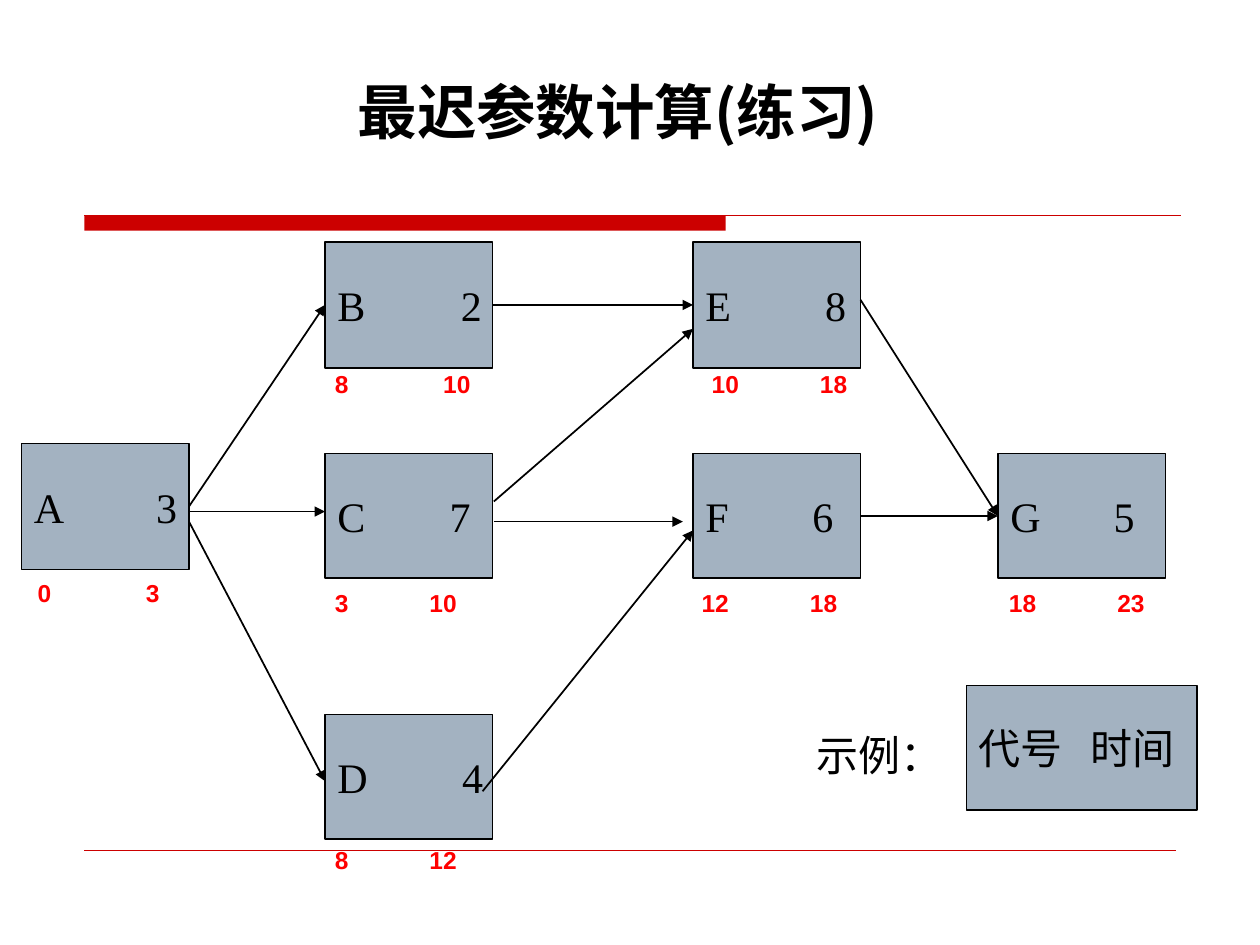
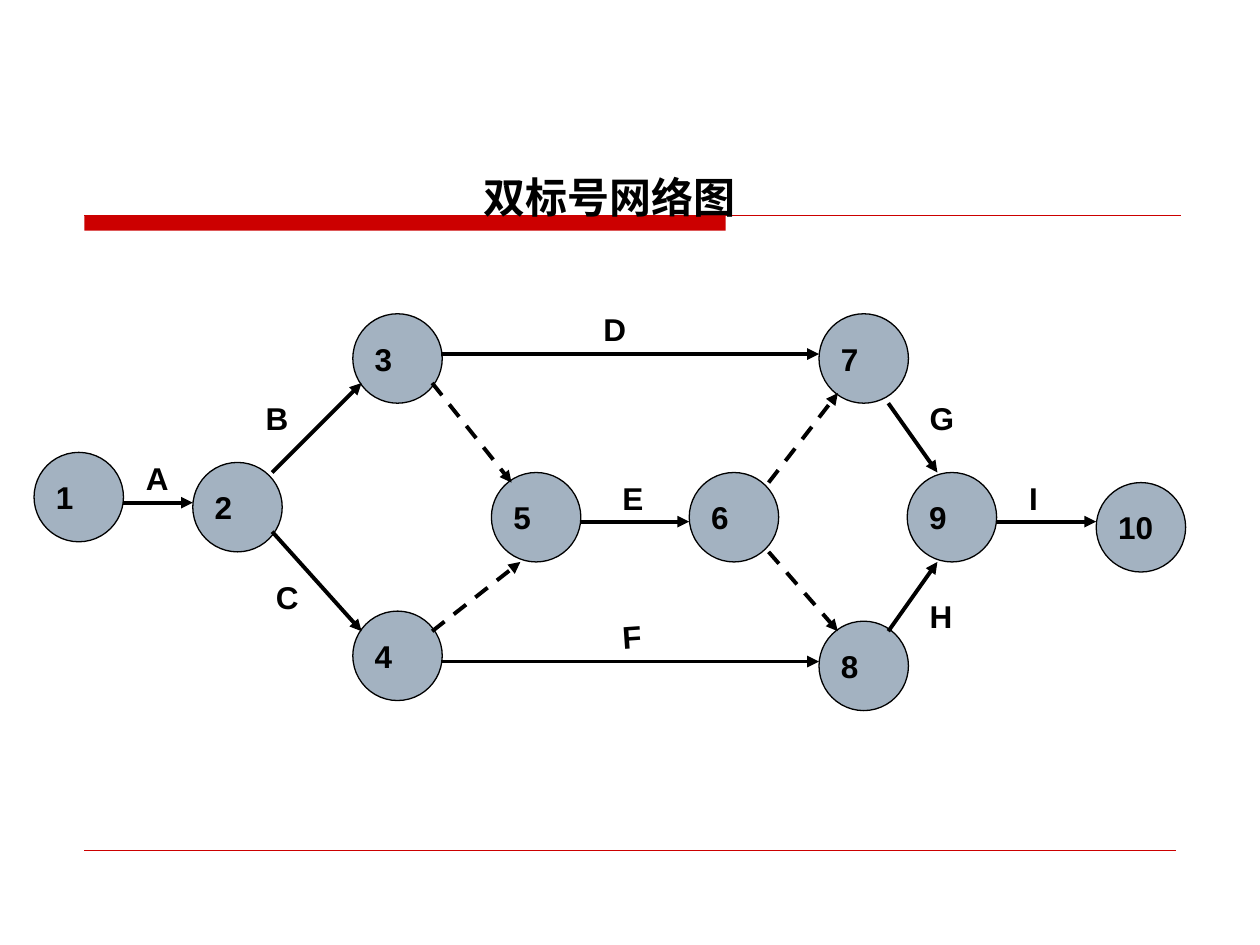
import pptx
import pptx.util
import pptx.dml.color
import pptx.enum.dml
import pptx.enum.shapes
import pptx.enum.text
import pptx.oxml.ns
from lxml import etree
from typing import Any, NamedTuple

Inches = pptx.util.Inches
Pt = pptx.util.Pt
Shape = pptx.enum.shapes.MSO_SHAPE
Anchor = pptx.enum.text.MSO_ANCHOR
qn = pptx.oxml.ns.qn

RED, BLACK, GREY, BRIGHT = "CC0000", "000000", "A3B2C1", "FF0000"
SERIF, SANS, HAN = "Times New Roman", "Arial", "Noto Sans CJK SC"
DISC = 0.71


class Style(NamedTuple):
    size: int
    font: str
    bold: bool = True
    tint: str = BLACK


TITLE = Style(34, HAN)
HEAD = Style(24, SANS)
TASK = Style(24, SERIF, False)
TIME = Style(14, SANS, True, BRIGHT)
MARK = Style(18, SANS)


class Task(NamedTuple):
    name: str
    span: str
    x: float
    y: float
    tab: float
    high: float = 0.99
    wide: float = 1.33


class Dates(NamedTuple):
    start: int
    end: int
    x: float
    y: float
    tab: float = 0.86


class Arrow(NamedTuple):
    x1: float
    y1: float
    x2: float
    y2: float
    dash: bool = False
    tail: str = ""
    head: str = ""


class Label(NamedTuple):
    text: str
    x: float
    y: float
    turn: float = 0


TASKS = [
    Task("A", "3", 0.17, 3.52, 0.97, 1),
    Task("E", "8", 5.5, 1.92, 0.95, 1),
    Task("C", "7", 2.58, 3.6, 0.89),
    Task("F", "6", 5.5, 3.6, 0.85),
    Task("D", "4", 2.58, 5.67, 0.99),
    Task("B", "2", 2.58, 1.92, 0.98, 1),
    Task("G", "5", 7.92, 3.6, 0.82),
    Task("代号", "时间", 7.67, 5.44, 0.89, wide=1.83),
]
DATES = [
    Dates(18, 23, 7.91, 4.62),
    Dates(12, 18, 5.47, 4.62),
    Dates(10, 18, 5.55, 2.88),
    Dates(8, 10, 2.56, 2.88),
    Dates(3, 10, 2.56, 4.62, 0.75),
    Dates(8, 12, 2.56, 6.66, 0.75),
    Dates(0, 3, 0.2, 4.54),
]
LINKS = [
    Arrow(1.5, 4.06, 2.58, 4.06),
    Arrow(3.92, 2.45, 5.5, 2.45, tail="B", head="E"),
    Arrow(6.83, 4.14, 7.92, 4.14, tail="F", head="G"),
    Arrow(3.92, 4.14, 5.42, 4.14),
    Arrow(1.5, 4.06, 2.58, 2.45, tail="A", head="B"),
    Arrow(1.5, 4.14, 2.58, 6.2),
    Arrow(6.83, 2.38, 7.92, 4.14, head="G"),
    Arrow(3.83, 6.28, 5.5, 4.21),
    Arrow(3.92, 3.98, 5.5, 2.61),
]
NODES = [
    Label("1", 0.27, 3.59),
    Label("4", 2.8, 4.85),
    Label("3", 2.8, 2.49),
    Label("5", 3.9, 3.75),
    Label("6", 5.47, 3.75),
    Label("8", 6.5, 4.93),
    Label("7", 6.5, 2.49),
    Label("9", 7.2, 3.75),
    Label("10", 8.7, 3.83),
    Label("2", 1.53, 3.67),
]
EDGES = [
    Arrow(0.98, 3.99, 1.53, 3.99),
    Arrow(2.16, 3.75, 2.87, 3.04),
    Arrow(2.16, 4.22, 2.87, 5.01),
    Arrow(3.5, 2.81, 6.5, 2.81),
    Arrow(3.5, 5.25, 6.5, 5.25),
    Arrow(3.43, 3.04, 4.06, 3.83, True),
    Arrow(3.43, 5.01, 4.13, 4.46, True),
    Arrow(4.61, 4.14, 5.47, 4.14),
    Arrow(7.05, 3.2, 7.44, 3.75),
    Arrow(7.05, 5.01, 7.44, 4.46),
    Arrow(7.91, 4.14, 8.7, 4.14),
    Arrow(6.1, 3.83, 6.65, 3.12, True),
    Arrow(6.1, 4.38, 6.65, 5.01, True),
]
LETTERS = [
    Label("A", 1.06, 3.59),
    Label("B", 2.01, 3.12),
    Label("C", 2.09, 4.54),
    Label("D", 4.69, 2.41),
    Label("F", 4.84, 4.85, -4),
    Label("E", 4.84, 3.75),
    Label("G", 7.28, 3.12),
    Label("H", 7.28, 4.69),
    Label("I", 8.07, 3.75),
]


def color(code: str) -> Any:
    return pptx.dml.color.RGBColor.from_string(code)


def write(shape: Any, text: str, style: Style, tab: float = 0) -> None:
    frame = shape.text_frame
    frame.word_wrap = True
    frame.text = text
    para = frame.paragraphs[0]
    para.alignment = pptx.enum.text.PP_ALIGN.LEFT
    if tab:
        stops = etree.SubElement(para._p.get_or_add_pPr(), qn("a:tabLst"))
        etree.SubElement(stops, qn("a:tab"), pos=str(Inches(tab)), algn="l")
    for run in para.runs:
        font = run.font
        font.size = Pt(style.size)
        font.bold = style.bold
        font.color.rgb = color(style.tint)
        font.name = style.font
        etree.SubElement(run._r.get_or_add_rPr(), qn("a:ea"), typeface=HAN)


def label(slide: Any, text: str, x: float, y: float, wide: float, high: float,
          style: Style, tab: float = 0) -> Any:
    box = slide.shapes.add_textbox(Inches(x), Inches(y), Inches(wide), Inches(high))
    write(box, text, style, tab)
    return box


def block(slide: Any, kind: Any, x: float, y: float, wide: float, high: float,
          fill: str, width: float = 0) -> Any:
    shape = slide.shapes.add_shape(kind, Inches(x), Inches(y), Inches(wide), Inches(high))
    shape.shadow.inherit = False
    shape.fill.solid()
    shape.fill.fore_color.rgb = color(fill)
    if width:
        shape.line.color.rgb = color(BLACK)
        shape.line.width = Pt(width)
    else:
        shape.line.fill.background()
    frame = shape.text_frame
    frame.margin_right = 0
    frame.vertical_anchor = Anchor.MIDDLE
    return shape


def rule(slide: Any, x1: float, y1: float, x2: float, y2: float,
         tint: str, width: float) -> Any:
    line = slide.shapes.add_connector(
        pptx.enum.shapes.MSO_CONNECTOR.STRAIGHT,
        Inches(x1), Inches(y1), Inches(x2), Inches(y2))
    line.line.color.rgb = color(tint)
    line.line.width = Pt(width)
    etree.SubElement(line._element.spPr, qn("a:effectLst"))
    return line


def arrow(slide: Any, item: Arrow, width: float, boxes: dict[str, Any]) -> None:
    line = rule(slide, item.x1, item.y1, item.x2, item.y2, BLACK, width)
    if item.dash:
        line.line.dash_style = pptx.enum.dml.MSO_LINE.DASH
    etree.SubElement(line.line._get_or_add_ln(), qn("a:tailEnd"), type="triangle")
    if item.tail:
        line.begin_connect(boxes[item.tail], 3)
    if item.head:
        line.end_connect(boxes[item.head], 1)


def page(deck: Any) -> Any:
    slide = deck.slides.add_slide(deck.slide_layouts[6])
    block(slide, Shape.RECTANGLE, 0.67, 1.71, 5.09, 0.12, RED)
    rule(slide, 0.67, 1.71, 9.37, 1.71, RED, 0.75)
    rule(slide, 0.67, 6.75, 9.33, 6.75, RED, 0.25)
    return slide


def latest(deck: Any) -> None:
    slide = page(deck)
    title = label(slide, "最迟参数计算(练习)", 2.74, 0.54, 5.77, 0.67, TITLE)
    title.text_frame.vertical_anchor = Anchor.BOTTOM
    boxes = {}
    for task in TASKS:
        box = block(slide, Shape.RECTANGLE, task.x, task.y, task.wide, task.high, GREY, 1)
        write(box, f"{task.name}\t{task.span}", TASK, task.tab)
        boxes[task.name] = box
    for link in LINKS:
        arrow(slide, link, 1, boxes)
    label(slide, "示例：", 6.38, 5.74, 1.28, 0.5, TASK)
    for pair in DATES:
        label(slide, f"{pair.start}\t{pair.end}", pair.x, pair.y, 1.34, 0.34, TIME, pair.tab)


def network(deck: Any) -> None:
    slide = page(deck)
    for node in NODES:
        disc = block(slide, Shape.OVAL, node.x, node.y, DISC, DISC, GREY, 0.75)
        disc.text_frame.margin_left = Inches(0.07)
        write(disc, node.text, MARK)
    for edge in EDGES:
        arrow(slide, edge, 2.25, {})
    for item in LETTERS:
        box = label(slide, item.text, item.x, item.y, 0.39, 0.4, MARK)
        box.rotation = item.turn
    label(slide, "双标号网络图", 3.74, 1.31, 2.76, 0.5, HEAD)


def main() -> None:
    deck = pptx.Presentation()
    deck.slide_width = Inches(10)
    deck.slide_height = Inches(7.5)
    latest(deck)
    network(deck)
    deck.save("out.pptx")


if __name__ == "__main__":
    main()
